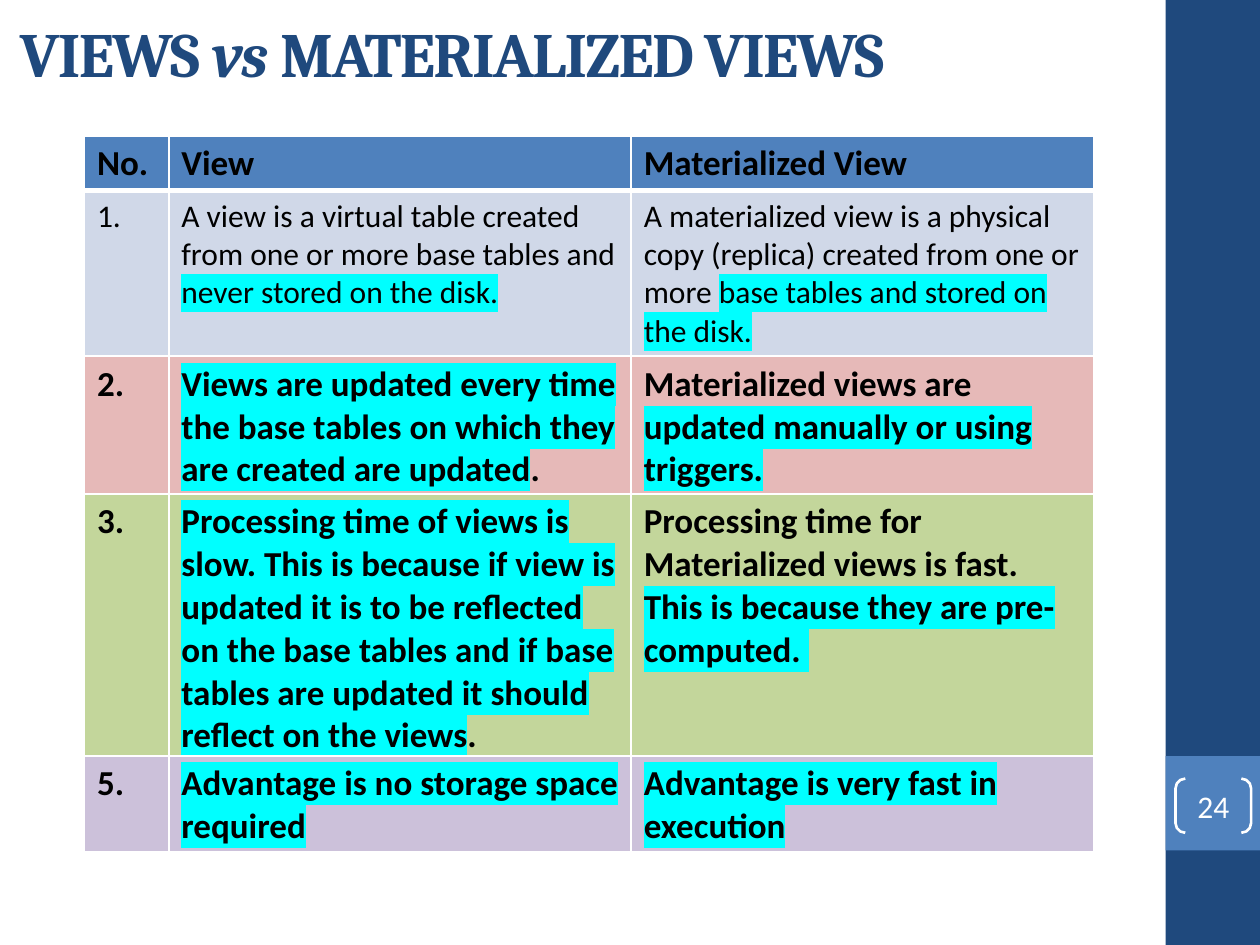
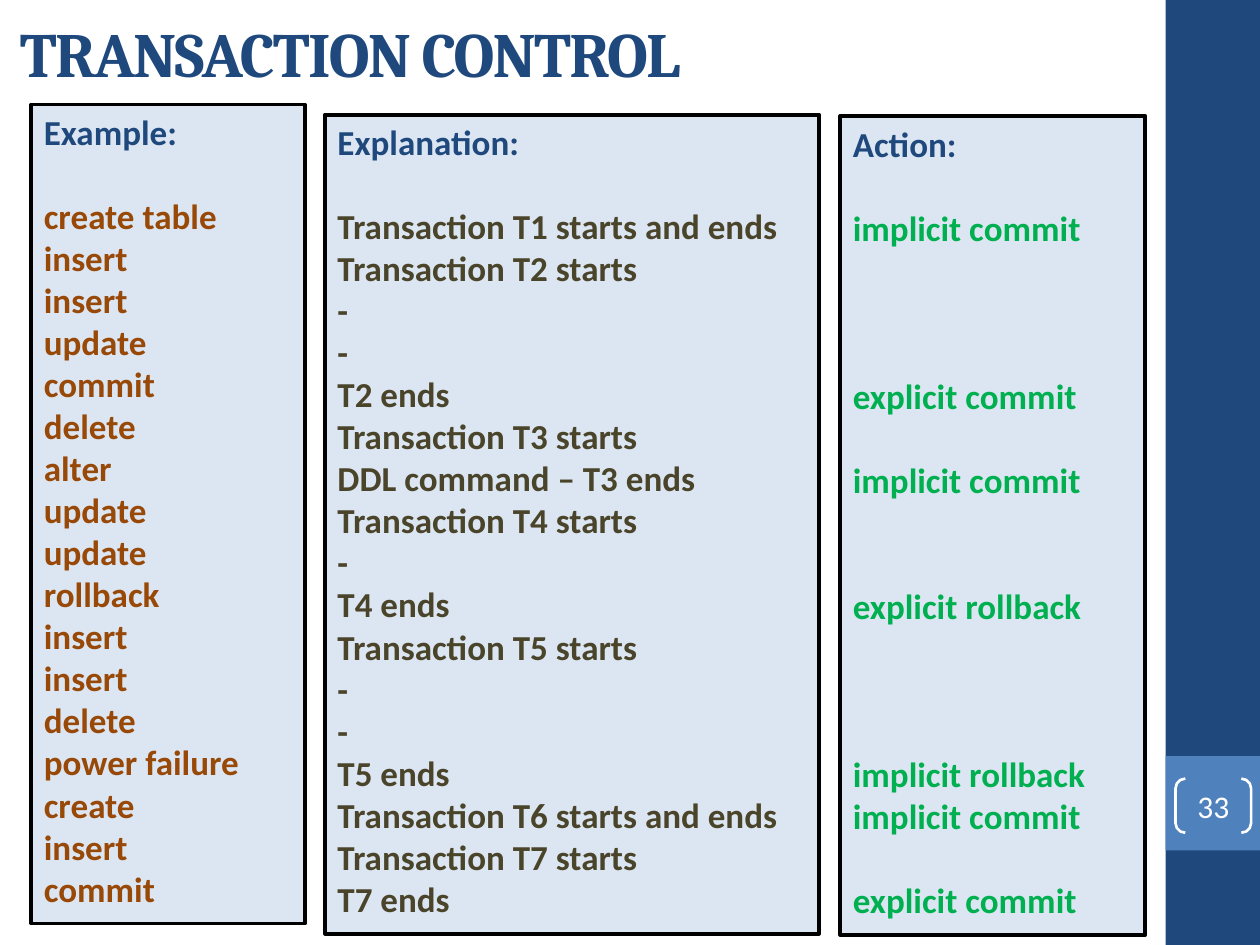
from lxml.etree import SubElement
from pptx import Presentation
from pptx.dml.color import RGBColor
from pptx.enum.shapes import MSO_SHAPE
from pptx.enum.text import MSO_ANCHOR, PP_ALIGN
from pptx.oxml.ns import qn
from pptx.util import Inches, Pt

NAVY = RGBColor(0x1F, 0x49, 0x7D)
BLUE = RGBColor(0x4F, 0x81, 0xBD)
PALE = RGBColor(0xDC, 0xE6, 0xF2)
WHITE = RGBColor(0xFF, 0xFF, 0xFF)
BLACK = RGBColor(0x00, 0x00, 0x00)
CYAN = RGBColor(0x00, 0xFF, 0xFF)
ICE = RGBColor(0xD0, 0xD8, 0xE8)
ROSE = RGBColor(0xE6, 0xB9, 0xB8)
OLIVE = RGBColor(0xC3, 0xD6, 0x9B)
LILAC = RGBColor(0xCC, 0xC1, 0xDA)
BROWN = RGBColor(0x98, 0x48, 0x07)
KHAKI = RGBColor(0x4A, 0x45, 0x2A)
GREEN = RGBColor(0x00, 0xB0, 0x50)

HEAD, BODY = "Cambria", "Calibri"
LINE = 24  # line pitch of the listing panels, in points


def style(par, size, color, bold=False, name=BODY):
    font = par.font
    font.name, font.size, font.bold = name, Pt(size), bold
    font.color.rgb = color


def add_runs(par, text, mark):
    """Split the text at bars; every second piece gets the mark."""
    for i, piece in enumerate(text.split("|")):
        if piece:
            run = par.add_run()
            run.text = piece
            if i % 2:
                mark(run)


def glow(run):
    tag = SubElement(run.font._element, qn("a:highlight"))
    SubElement(tag, qn("a:srgbClr"), val=str(CYAN))


def slant(run):
    run.font.italic = True


def edge(cell, bottom):
    props = cell._tc.get_or_add_tcPr()
    for side, width in zip("LRTB", (1, 1, 1, bottom)):
        line = SubElement(props, qn(f"a:ln{side}"), w=str(Pt(width)))
        fill = SubElement(line, qn("a:solidFill"))
        SubElement(fill, qn("a:srgbClr"), val=str(WHITE))


class Deck:
    def __init__(self):
        self.prs = Presentation()
        self.prs.slide_width, self.prs.slide_height = Inches(10), Inches(7.5)
        self.slide = None

    def shape(self, kind, box, fill=None, line=None, width=1):
        item = self.slide.shapes.add_shape(kind, *map(Inches, box))
        item.shadow.inherit = False
        if fill is None:
            item.fill.background()
        else:
            item.fill.solid()
            item.fill.fore_color.rgb = fill
        if line is None:
            item.line.fill.background()
        else:
            item.line.color.rgb = line
            item.line.width = Pt(width)
        return item

    def page(self, title, number):
        self.slide = self.prs.slides.add_slide(self.prs.slide_layouts[6])
        # Side band and page number
        self.shape(MSO_SHAPE.RECTANGLE, (9.25, 0, 0.75, 7.5), NAVY)
        self.shape(MSO_SHAPE.RECTANGLE, (9.25, 6, 0.75, 0.75), BLUE)
        badge = self.shape(MSO_SHAPE.DOUBLE_BRACKET, (9.33, 6.18, 0.6, 0.43),
                           line=WHITE, width=1.5)
        badge.adjustments[0] = 0.18
        frame = badge.text_frame
        frame.margin_left = frame.margin_right = 0
        frame.margin_top = frame.margin_bottom = 0
        par = frame.paragraphs[0]
        par.alignment = PP_ALIGN.CENTER
        style(par, 18, WHITE)
        par.add_run().text = str(number)
        # Title
        box = self.slide.shapes.add_textbox(*map(Inches, (0.06, 0.08, 8.95, 0.67)))
        frame = box.text_frame
        frame.word_wrap = True
        frame.vertical_anchor = MSO_ANCHOR.MIDDLE
        par = frame.paragraphs[0]
        style(par, 36, NAVY, True, HEAD)
        add_runs(par, title, slant)
        for run in par.runs:
            run.font._element.set("spc", "-100")

    def table(self, top, rows):
        """Each row is (height, fill, size, bold, texts)."""
        widths = (0.67, 3.67, 3.67)
        total = sum(row[0] for row in rows)
        grid = self.slide.shapes.add_table(
            len(rows), len(widths), Inches(0.67), Inches(top),
            Inches(sum(widths)), Inches(total)).table
        grid.first_row = grid.horz_banding = False
        for col, width in zip(grid.columns, widths):
            col.width = Inches(width)
        for r, (height, fill, size, bold, texts) in enumerate(rows):
            grid.rows[r].height = Inches(height)
            for c, text in enumerate(texts):
                cell = grid.cell(r, c)
                edge(cell, 1 if r else 3)
                cell.fill.solid()
                cell.fill.fore_color.rgb = fill
                par = cell.text_frame.paragraphs[0]
                style(par, size, BLACK, bold)
                add_runs(par, text, glow)

    def panel(self, left, top, width, head, color, lines):
        """Lines are (row, text); rows left out become space before."""
        box = self.shape(MSO_SHAPE.RECTANGLE, (left, top, width, 6.5),
                         PALE, BLACK, 2.25)
        frame = box.text_frame
        frame.word_wrap = True
        frame.vertical_anchor = MSO_ANCHOR.TOP
        last = -1
        for row, text in [(0, head)] + lines:
            par = frame.add_paragraph() if row else frame.paragraphs[0]
            par.alignment = PP_ALIGN.LEFT
            par.line_spacing = Pt(LINE)
            par.space_before = Pt(LINE * (row - last - 1))
            style(par, 20, color if row else NAVY, True)
            par.add_run().text = text
            last = row


def views(deck):
    deck.page("VIEWS |vs| MATERIALIZED VIEWS", 24)
    deck.table(1.08, [
        (0.42, BLUE, 20, True, ("No.", "View", "Materialized View")),
        (1.31, ICE, 18, False, (
            "1.",
            "A view is a virtual table created from one or more base tables and "
            "|never stored on the disk.",
            "A materialized view is a physical copy (replica) created from one "
            "or more |base tables and stored on the disk."))])
    points = [
        (2.83, 1.1, ROSE, (
            "2.",
            "|Views are updated every time the base tables on which they are "
            "created are updated|.",
            "Materialized views are |updated manually or using triggers.")),
        (3.92, 2.1, OLIVE, (
            "3.",
            "|Processing time of views is slow. This is because if view is "
            "updated it is to be reflected on the base tables and if base "
            "tables are updated it should reflect on the views|.",
            "Processing time for Materialized views is fast. "
            "|This is because they are pre-computed. ")),
        (6, 0.77, LILAC, (
            "5.",
            "|Advantage is no storage space required",
            "|Advantage is very fast in execution")),
    ]
    for top, height, fill, texts in points:
        deck.table(top, [(height, fill, 20, True, texts)])


def control(deck):
    deck.page("TRANSACTION CONTROL", 33)
    steps = ["create table", "insert", "insert", "update", "commit", "delete",
             "alter", "update", "update", "rollback", "insert", "insert",
             "delete", "power failure", "create", "insert", "commit"]
    notes = ["Transaction T1 starts and ends", "Transaction T2 starts", "-", "-",
             "T2 ends", "Transaction T3 starts", "DDL command – T3 ends",
             "Transaction T4 starts", "-", "T4 ends", "Transaction T5 starts",
             "-", "-", "T5 ends", "Transaction T6 starts and ends",
             "Transaction T7 starts", "T7 ends"]
    acts = [(2, "implicit commit"), (6, "explicit commit"),
            (8, "implicit commit"), (11, "explicit rollback"),
            (15, "implicit rollback"), (16, "implicit commit"),
            (18, "explicit commit")]
    deck.panel(0.25, 0.83, 2.17, "Example:", BROWN, list(enumerate(steps, 2)))
    deck.panel(2.58, 0.91, 3.92, "Explanation:", KHAKI, list(enumerate(notes, 2)))
    deck.panel(6.67, 0.92, 2.42, "Action:", GREEN, acts)


def main():
    deck = Deck()
    views(deck)
    control(deck)
    deck.prs.save("out.pptx")


if __name__ == "__main__":
    main()
